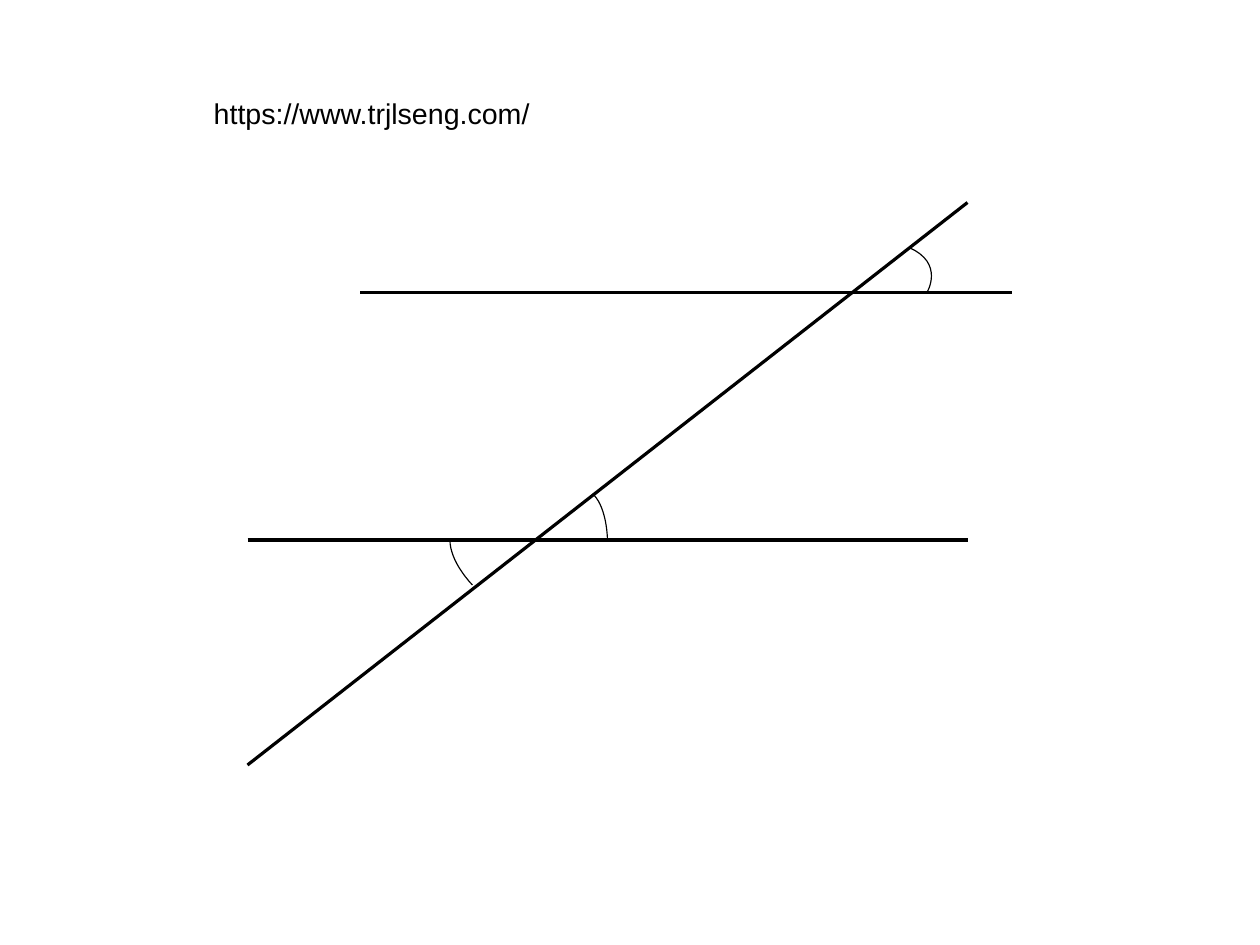
from lxml import etree
from pptx import Presentation
from pptx.dml.color import RGBColor
from pptx.enum.shapes import MSO_CONNECTOR
from pptx.oxml.ns import qn
from pptx.util import Cm, Pt

BLACK = RGBColor(0, 0, 0)
HAIRLINE = Pt(0)
ARC_STEPS = 16

# The drawing sits on a centimetre grid of 28 columns by 21 rows.
UPPER_ROW, LOWER_ROW = 6.5, 12
STRAIGHT_LINES = [
    ((5.5, LOWER_ROW), (21.5, LOWER_ROW)),
    ((5.5, 17), (21.5, 4.5)),
    ((8, UPPER_ROW), (22.5, UPPER_ROW)),
]
# Start, two control points and end of each angle mark.
ANGLE_ARCS = [
    ((10, LOWER_ROW), (10, 12.5), (10.5, 13), (10.5, 13)),
    ((13.2, 11), (13.5, 11.33), (13.5, LOWER_ROW), (13.5, LOWER_ROW)),
    ((20.2, 5.5), (21, 5.85), (20.6, UPPER_ROW), (20.6, UPPER_ROW)),
]


def bezier_point(arc, t):
    weights = ((1 - t) ** 3, 3 * t * (1 - t) ** 2, 3 * t**2 * (1 - t), t**3)
    return tuple(
        Cm(sum(w * point[axis] for w, point in zip(weights, arc))) for axis in (0, 1)
    )


def set_hairline(stroke):
    stroke.line.color.rgb = BLACK
    stroke.line.width = HAIRLINE


prs = Presentation()
prs.slide_width, prs.slide_height = Cm(28), Cm(21)
slide = prs.slides.add_slide(prs.slide_layouts[6])

for start, end in STRAIGHT_LINES:
    straight = slide.shapes.add_connector(
        MSO_CONNECTOR.STRAIGHT, *(Cm(value) for value in start + end)
    )
    set_hairline(straight)
    etree.SubElement(straight._element.spPr, qn("a:effectLst"))

for arc in ANGLE_ARCS:
    points = [bezier_point(arc, step / ARC_STEPS) for step in range(ARC_STEPS + 1)]
    builder = slide.shapes.build_freeform(*points[0])
    builder.add_line_segments(points[1:], close=False)
    angle_mark = builder.convert_to_shape()
    angle_mark.fill.background()
    angle_mark.shadow.inherit = False
    set_hairline(angle_mark)

address = slide.shapes.add_textbox(Cm(4.5), Cm(2), Cm(17.35), Cm(0.96)).text_frame
address.word_wrap = True
address_line = address.paragraphs[0]
address_line.text = "https://www.trjlseng.com/"
address_line.font.name = "Arial"
address_line.font.size = Pt(18)
address_line.font.color.rgb = BLACK

prs.save("out.pptx")
